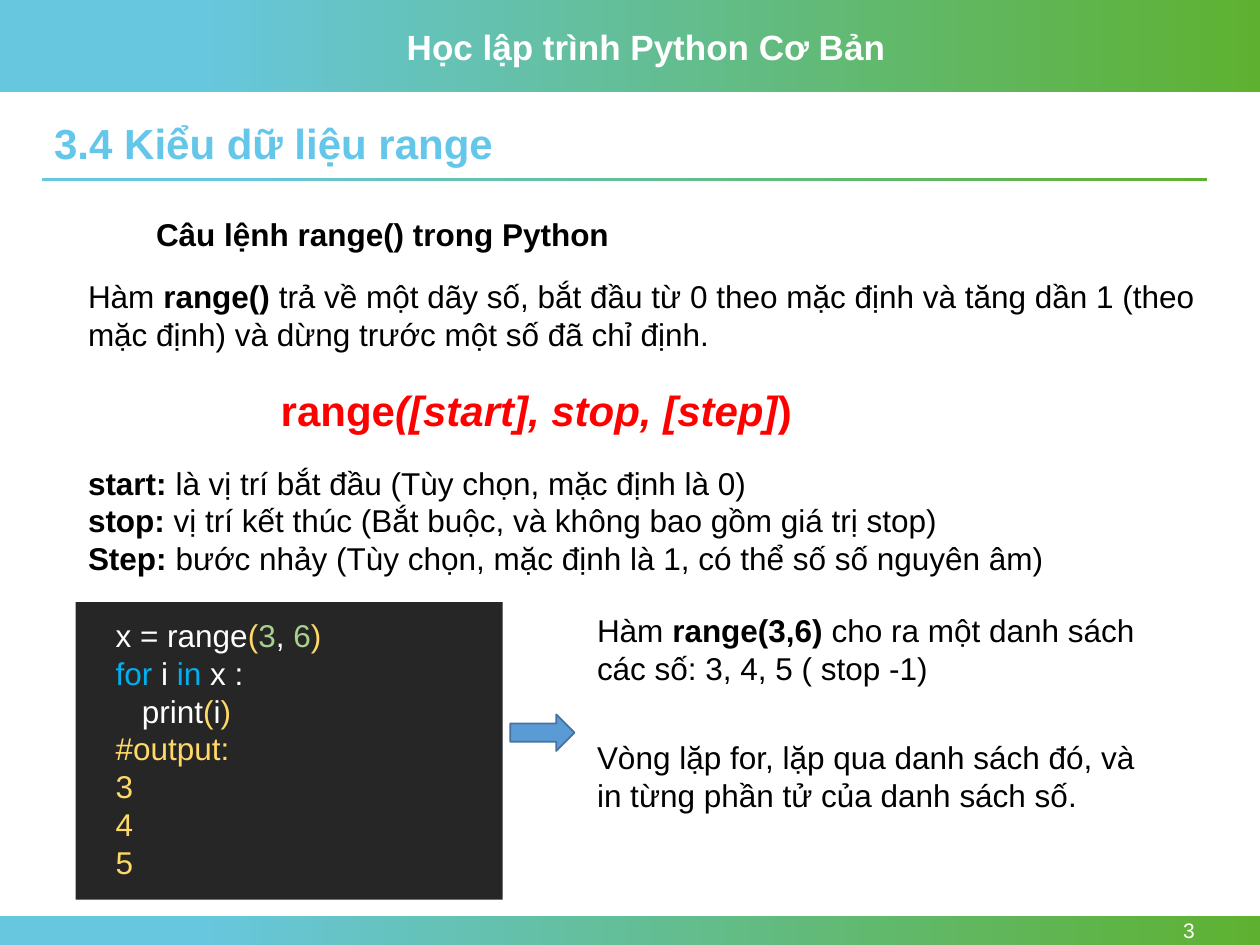
from pptx import Presentation
from pptx.dml.color import RGBColor
from pptx.enum import shapes, text
from pptx.util import Inches, Pt

HUES = {
    "blue": "67C7DF", "green": "5EB130", "title": "64C7E9",
    "white": "FFFFFF", "black": "000000", "red": "FF0000",
    "panel": "262626", "gold": "FFD966", "lime": "A9D18E", "key": "00B0F0",
    "arrow": "5B9BD5", "edge": "43739E",
}
RECT = shapes.MSO_SHAPE.RECTANGLE
ALIGN = text.PP_ALIGN


def hue(name):
    return RGBColor.from_string(HUES[name])


def add_runs(para, runs, size, color):
    """Each run is (text, style); style holds b, i or a colour name."""
    for words, *style in runs:
        run = para.add_run()
        run.text = words
        font = run.font
        font.name, font.size = "Arial", Pt(size)
        font.bold, font.italic = "b" in style, "i" in style
        names = [s for s in style if s in HUES]
        font.color.rgb = hue(names[0] if names else color)


def add_text(slide, box, lines, size=18, color="black", align=ALIGN.LEFT,
             anchor=text.MSO_ANCHOR.TOP):
    frame = slide.shapes.add_textbox(*map(Inches, box)).text_frame
    frame.word_wrap = True
    frame.vertical_anchor = anchor
    for n, runs in enumerate(lines):
        para = frame.add_paragraph() if n else frame.paragraphs[0]
        para.alignment = align
        add_runs(para, runs, size, color)


def add_form(slide, kind, box, fill=None, line=None):
    """Add a preset shape; without a fill it gets the blue-green fade."""
    form = slide.shapes.add_shape(kind, *map(Inches, box))
    form.shadow.inherit = False
    if fill:
        form.fill.solid()
        form.fill.fore_color.rgb = hue(fill)
    else:
        form.fill.gradient()
        form.fill.gradient_angle = 0
        stops = zip(form.fill.gradient_stops, (0.15, 1), ("blue", "green"))
        for stop, place, name in stops:
            stop.position = place
            stop.color.rgb = hue(name)
    if line:
        form.line.color.rgb = hue(line)
        form.line.width = Pt(1)
    else:
        form.line.fill.background()


def add_frame(slide, wide, high):
    """Top banner with the course name, bottom band with the page number."""
    foot = 0.23
    add_form(slide, RECT, (0, 0, wide, 0.73))
    add_form(slide, RECT, (0, high - foot, wide, foot))
    add_text(slide, (3.13, 0.15, 4, 0.44),
             [[("Học lập trình Python Cơ Bản", "b")]], 20, "white")
    add_text(slide, (8.66, high - foot, 0.92, foot), [[("3",)]], 12, "white",
             ALIGN.RIGHT, text.MSO_ANCHOR.MIDDLE)


def set_title(slide, left, top, wide):
    title = slide.shapes.title
    title.left, title.top = Inches(left), Inches(top)
    title.width, title.height = Inches(wide), Inches(0.46)
    frame = title.text_frame
    frame.auto_size = text.MSO_AUTO_SIZE.NONE
    frame.vertical_anchor = text.MSO_ANCHOR.TOP
    para = frame.paragraphs[0]
    para.alignment = ALIGN.LEFT
    para.line_spacing = 0.9
    add_runs(para, [("3.4 Kiểu dữ liệu range", "b")], 24, "title")
    add_form(slide, RECT, (left, top + 0.48, wide, 0.03))


def add_theory(slide, left, top, wide):
    add_text(slide, (left + 0.54, top, 7.73, 0.4),
             [[("Câu lệnh range() trong Python", "b")]])
    add_text(slide, (left, top + 0.49, wide, 0.71), [[
        ("Hàm ",), ("range() ", "b"),
        ("trả về một dãy số, bắt đầu từ 0 theo mặc định và tăng dần 1 "
         "(theo mặc định) và dừng trước một số đã chỉ định.",)]])
    add_text(slide, (left + 1.53, top + 1.34, 4.53, 0.5), [[
        ("range", "b"), ("([start], stop, [step]", "b", "i"), (")", "b")]],
        24, "red")
    add_text(slide, (left, top + 1.97, wide, 1.01), [
        [("start: ", "b"), ("là vị trí bắt đầu (Tùy chọn, mặc định là 0)",)],
        [("stop: ", "b"),
         ("vị trí kết thúc (Bắt buộc, và không bao gồm giá trị stop)",)],
        [("Step: ", "b"),
         ("bước nhảy (Tùy chọn, mặc định là 1, có thể số số nguyên âm)",)]])


def add_code(slide, left, top, wide, high):
    add_form(slide, RECT, (left, top, wide, high), "panel")
    add_text(slide, (left + 0.22, top + 0.06, 2.86, 2.22), [
        [("x = range",), ("(", "gold"), ("3", "lime"), (", ",),
         ("6", "lime"), (")", "gold")],
        [("for ", "key"), ("i ",), ("in ", "key"), ("x :",)],
        [("   print",), ("(", "gold"), ("i",), (")", "gold")],
        *[[(out, "gold")] for out in ("#output:", "3", "4", "5")]],
        color="white")


def add_notes(slide, left, top, wide):
    """Arrow from the code and the two remarks to its right."""
    add_form(slide, shapes.MSO_SHAPE.RIGHT_ARROW,
             (left - 0.59, top + 0.87, 0.51, 0.29), "arrow", "edge")
    remarks = [
        [("Hàm ",), ("range(3,6) ", "b"),
         ("cho ra một danh sách các số: 3, 4, 5 ( stop -1)",)],
        [("Vòng lặp for, lặp qua danh sách đó, và in từng phần tử "
          "của danh sách số.",)]]
    for n, runs in enumerate(remarks):
        add_text(slide, (left, top + 1.01 * n, wide, 0.71), [runs])


def main():
    deck = Presentation()
    deck.slide_width, deck.slide_height = Inches(10), Inches(7.5)
    slide = deck.slides.add_slide(deck.slide_layouts[5])
    add_frame(slide, 10, 7.5)
    set_title(slide, 0.33, 0.93, 9.25)
    add_theory(slide, 0.6, 1.66, 9.11)
    add_code(slide, 0.6, 4.78, 3.39, 2.36)
    add_notes(slide, 4.64, 4.8, 4.47)
    deck.save("out.pptx")


if __name__ == "__main__":
    main()
